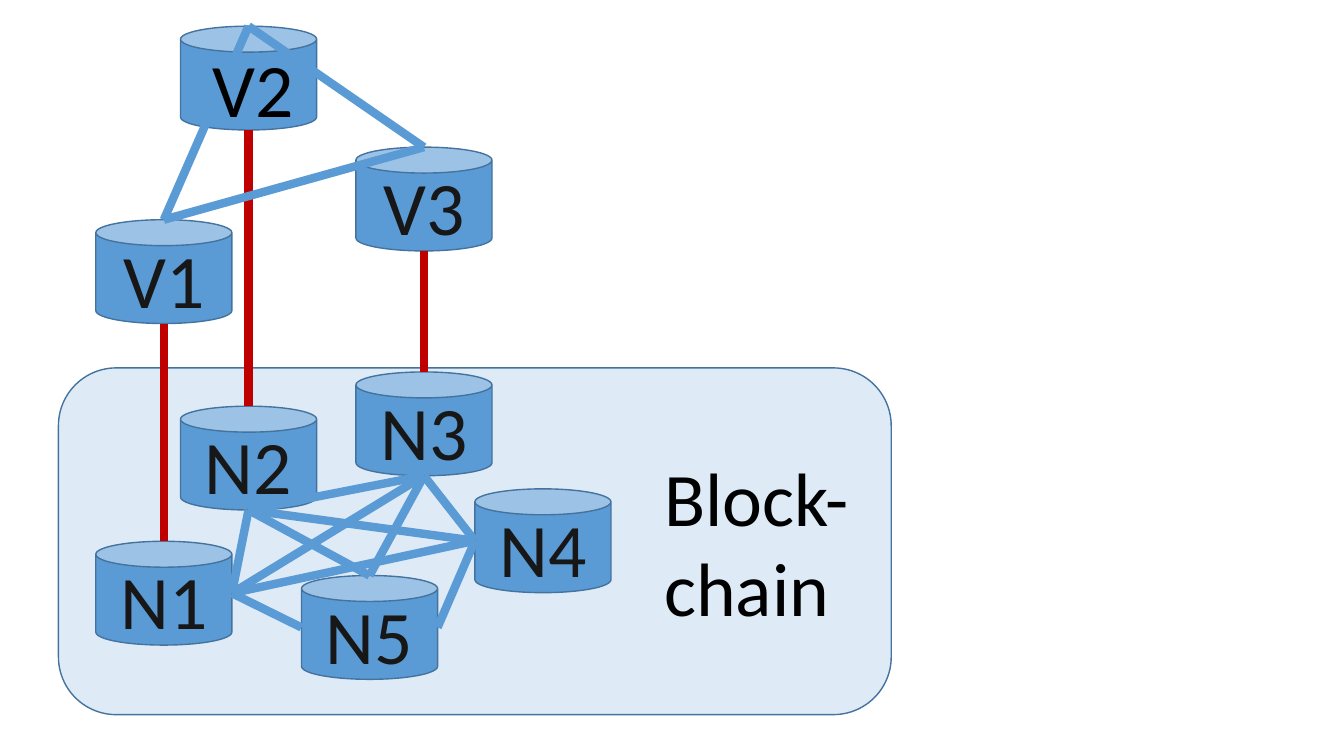
from lxml import etree
from pptx import Presentation
from pptx.dml.color import RGBColor
from pptx.enum import shapes, text
from pptx.oxml import ns
from pptx.util import Inches, Pt

NODE_WIDTH, NODE_HEIGHT = 1.35, 1.03
BLUE, RED, OUTLINE, DARK = "5B9BD5", "C00000", "43739E", "181717"

NODES = {
    "V2": (1.79, 0.26),
    "N4": (4.71, 4.85),
    "N2": (1.79, 4.03),
    "N3": (3.53, 3.69),
    "N1": (0.95, 5.37),
    "N5": (2.99, 5.71),
    "V3": (3.53, 1.46),
    "V1": (0.95, 2.18),
}
SIDES = {"top": (0.5, 0), "bottom": (0.5, 1), "left": (0, 0.5), "right": (1, 0.5)}
CHAIN_LINKS = [
    ("N5", "left", "N1", "right"),
    ("N1", "right", "N2", "bottom"),
    ("N5", "top", "N2", "bottom"),
    ("N3", "bottom", "N2", "bottom"),
    ("N1", "right", "N3", "bottom"),
    ("N4", "left", "N2", "bottom"),
    ("N4", "left", "N3", "bottom"),
    ("N5", "right", "N4", "left"),
    ("N5", "top", "N3", "bottom"),
    ("N1", "right", "N4", "left"),
]
VALIDATOR_LINKS = [("V2", "V3"), ("V2", "V1"), ("V1", "V3")]


def color(value):
    return RGBColor.from_string(value)


def write(frame, words, font_color, alignment):
    frame.text = words
    paragraph = frame.paragraphs[0]
    paragraph.alignment = alignment
    paragraph.font.name = "Calibri"
    paragraph.font.size = Pt(54)
    paragraph.font.color.rgb = color(font_color)


def add_box(slide, kind, left, top, width, height, fill):
    shape = slide.shapes.add_shape(
        kind, Inches(left), Inches(top), Inches(width), Inches(height))
    shape.shadow.inherit = False
    shape.fill.solid()
    shape.fill.fore_color.rgb = color(fill)
    shape.line.color.rgb = color(OUTLINE)
    shape.line.width = Pt(1)
    return shape


def add_node(slide, name):
    left, top = NODES[name]
    shape = add_box(slide, shapes.MSO_SHAPE.CAN, left, top,
                    NODE_WIDTH, NODE_HEIGHT, BLUE)
    if name != "V2":
        shape.text_frame.vertical_anchor = text.MSO_ANCHOR.MIDDLE
        write(shape.text_frame, name, DARK, text.PP_ALIGN.CENTER)


def add_label(slide, words, left, top, width, height):
    box = slide.shapes.add_textbox(
        Inches(left), Inches(top), Inches(width), Inches(height))
    box.text_frame.word_wrap = True
    write(box.text_frame, words, "000000", text.PP_ALIGN.LEFT)


def node_point(name, side):
    left, top = NODES[name]
    across, down = SIDES[side]
    return Inches(left + across * NODE_WIDTH), Inches(top + down * NODE_HEIGHT)


def add_link(slide, start, start_side, end, end_side, line_color=BLUE):
    connector = slide.shapes.add_connector(
        shapes.MSO_CONNECTOR.STRAIGHT,
        *node_point(start, start_side), *node_point(end, end_side))
    connector.line.color.rgb = color(line_color)
    connector.line.width = Pt(6)
    etree.SubElement(connector._element.spPr, ns.qn("a:effectLst"))


def main():
    presentation = Presentation()
    presentation.slide_width = Inches(13.33)
    presentation.slide_height = Inches(7.5)
    slide = presentation.slides.add_slide(presentation.slide_layouts[6])

    add_box(slide, shapes.MSO_SHAPE.ROUNDED_RECTANGLE,
            0.58, 3.65, 8.26, 3.44, "DEEBF7")
    for name in NODES:
        add_node(slide, name)
    for number in "123":
        add_link(slide, "V" + number, "bottom", "N" + number, "top", RED)
    for link in CHAIN_LINKS:
        add_link(slide, *link)
    for start, end in VALIDATOR_LINKS:
        add_link(slide, start, "top", end, "top")
    add_label(slide, "V2", 2.01, 0.37, 1.41, 1.01)
    add_label(slide, "Block-\vchain", 6.49, 4.42, 4.42, 1.92)

    presentation.save("out.pptx")


main()
